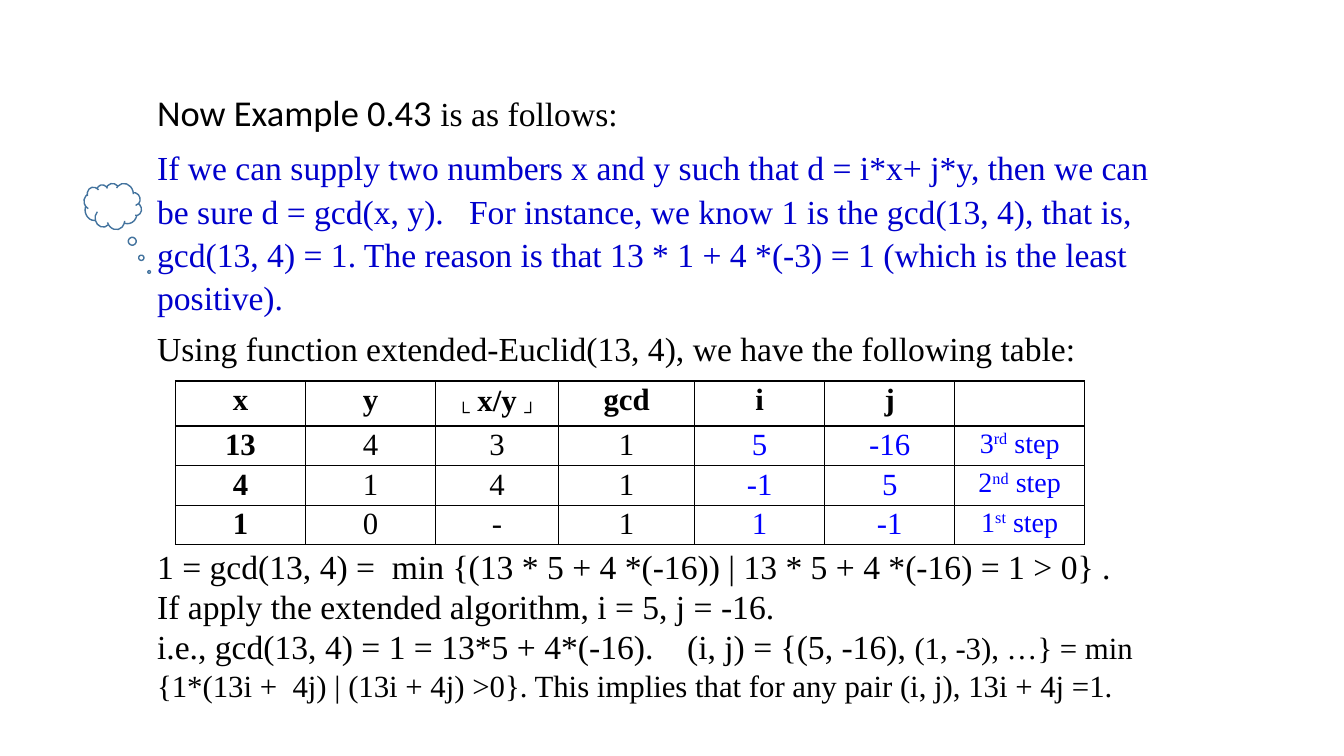
import pptx
import pptx.util
import pptx.dml.color
import pptx.enum.shapes
import pptx.enum.text
import pptx.oxml
import pptx.oxml.ns
from pptx.util import Inches

COLORS = {"text": "000000", "statement": "0000CC", "result": "0000FF",
          "paper": "FFFFFF", "cloud": "43739E"}
SERIF = "Times New Roman"
TABLE_GAP = 126.5  # points left free in the text for the table

# Each paragraph: runs of (text, size, font), colour, line spacing, space before, space after
PARAGRAPHS = [
    ([("Now Example 0.43 ", 26, "Calibri"), ("is as follows:", 24, SERIF)],
     "text", 1.07, 0, 8),
    ([("If we can supply two numbers x and y such that d = i*x+ j*y, then we can "
       "be sure d = gcd(x, y).   For instance, we know 1 is the gcd(13, 4), that is, "
       "gcd(13, 4) = 1. The reason is that 13 * 1 + 4 *(-3) = 1 (which is the least "
       "positive).", 24, SERIF)], "statement", 1.07, 0, 8),
    ([("Using function extended-Euclid(13, 4), we have the following table:", 24, SERIF)],
     "text", 1, 0, 0),
    ([("1 = gcd(13, 4) =  min {(13 * 5 + 4 *(-16)) | 13 * 5 + 4 *(-16) = 1 > 0} .",
       24, SERIF)], "text", 1, TABLE_GAP, 0),
    ([("If apply the extended algorithm, i = 5, j = -16.", 24, SERIF)], "text", 1, 0, 0),
    ([("i.e., gcd(13, 4) = 1 = 13*5 + 4*(-16).    (i, j) = {(5, -16), ", 24, SERIF),
      ("(1, -3), …} = min {1*(13i +  4j) | (13i + 4j) >0}. This implies that for any "
       "pair (i, j), 13i + 4j =1.", 22, SERIF)], "text", 1, 0, 0),
]

# A cell is plain text or a list of (text, baseline shift in percent)
EUCLID_ROWS = [
    ["x", "y", [("└", -25), (" x/y ", 0), ("┘", -25)], "gcd", "i", "j", ""],
    ["13", "4", "3", "1", "5", "-16", [("3", 0), ("rd", 30), (" step", 0)]],
    ["4", "1", "4", "1", "-1", "5", [("2", 0), ("nd", 30), (" step", 0)]],
    ["1", "0", "-", "1", "1", "-1", [("1", 0), ("st", 30), (" step", 0)]],
]
COL_WIDTHS = [1.29, 1.29, 1.22, 1.35, 1.29, 1.29, 1.29]
ROW_HEIGHT = 0.39
FIRST_RESULT_COL, STEP_COL = 4, 6


def rgb(name):
    return pptx.dml.color.RGBColor.from_string(COLORS[name])


def add_explanation(slide):
    box = slide.shapes.add_textbox(Inches(1.46), Inches(0.81), Inches(10.41), Inches(6.32))
    tf = box.text_frame
    tf.word_wrap = True
    tf.auto_size = pptx.enum.text.MSO_AUTO_SIZE.SHAPE_TO_FIT_TEXT
    for n, (runs, color, spacing, before, after) in enumerate(PARAGRAPHS):
        p = tf.add_paragraph() if n else tf.paragraphs[0]
        p.line_spacing = spacing
        p.space_before = pptx.util.Pt(before)
        p.space_after = pptx.util.Pt(after)
        p.font.color.rgb = rgb(color)
        for text, size, font in runs:
            r = p.add_run()
            r.text = text
            r.font.size = pptx.util.Pt(size)
            r.font.name = font


def add_borders(cell):
    tc_pr = cell._tc.get_or_add_tcPr()
    for side in ("lnL", "lnR", "lnT", "lnB"):
        tc_pr.append(pptx.oxml.parse_xml(
            f'<a:{side} {pptx.oxml.ns.nsdecls("a")} w="12700"><a:solidFill>'
            f'<a:srgbClr val="{COLORS["text"]}"/></a:solidFill></a:{side}>'))


def fill_cell(cell, content, row, col):
    add_borders(cell)
    cell.fill.solid()
    cell.fill.fore_color.rgb = rgb("paper")
    if not content:
        return
    cell.margin_left = cell.margin_right = Inches(0.07)
    cell.margin_top = cell.margin_bottom = 0
    p = cell.text_frame.paragraphs[0]
    p.alignment = pptx.enum.text.PP_ALIGN.CENTER
    p.line_spacing = 1.07
    p.font.name = SERIF
    p.font.size = pptx.util.Pt(20 if col == STEP_COL else 22)
    p.font.bold = row == 0 or col == 0
    p.font.color.rgb = rgb("result" if row and col >= FIRST_RESULT_COL else "text")
    for text, shift in [(content, 0)] if isinstance(content, str) else content:
        r = p.add_run()
        r.text = text
        if shift:
            r.font._element.set("baseline", str(shift * 1000))


def add_euclid_table(slide):
    frame = slide.shapes.add_table(
        len(EUCLID_ROWS), len(COL_WIDTHS), Inches(1.74), Inches(3.78),
        Inches(sum(COL_WIDTHS)), Inches(ROW_HEIGHT * len(EUCLID_ROWS)))
    table = frame.table
    table.first_row = table.horz_banding = False
    for column, width in zip(table.columns, COL_WIDTHS):
        column.width = Inches(width)
    for row, contents in enumerate(EUCLID_ROWS):
        table.rows[row].height = Inches(ROW_HEIGHT)
        for col, content in enumerate(contents):
            fill_cell(table.cell(row, col), content, row, col)


def add_thought_cloud(slide):
    sp = slide.shapes.add_shape(pptx.enum.shapes.MSO_SHAPE.CLOUD_CALLOUT,
                                Inches(0.84), Inches(1.81), Inches(0.56), Inches(0.47))
    sp.adjustments[0], sp.adjustments[1] = -0.32, 1.54
    sp.rotation = 345.1
    sp.element.spPr.find(pptx.oxml.ns.qn("a:xfrm")).set("flipH", "1")
    sp.shadow.inherit = False
    sp.fill.solid()
    sp.fill.fore_color.rgb = rgb("paper")
    sp.line.color.rgb = rgb("cloud")
    sp.line.width = pptx.util.Pt(1)


def main():
    prs = pptx.Presentation()
    prs.slide_width, prs.slide_height = Inches(13.33), Inches(7.5)
    slide = prs.slides.add_slide(prs.slide_layouts[6])
    add_explanation(slide)
    add_euclid_table(slide)
    add_thought_cloud(slide)
    prs.save("out.pptx")


if __name__ == "__main__":
    main()
